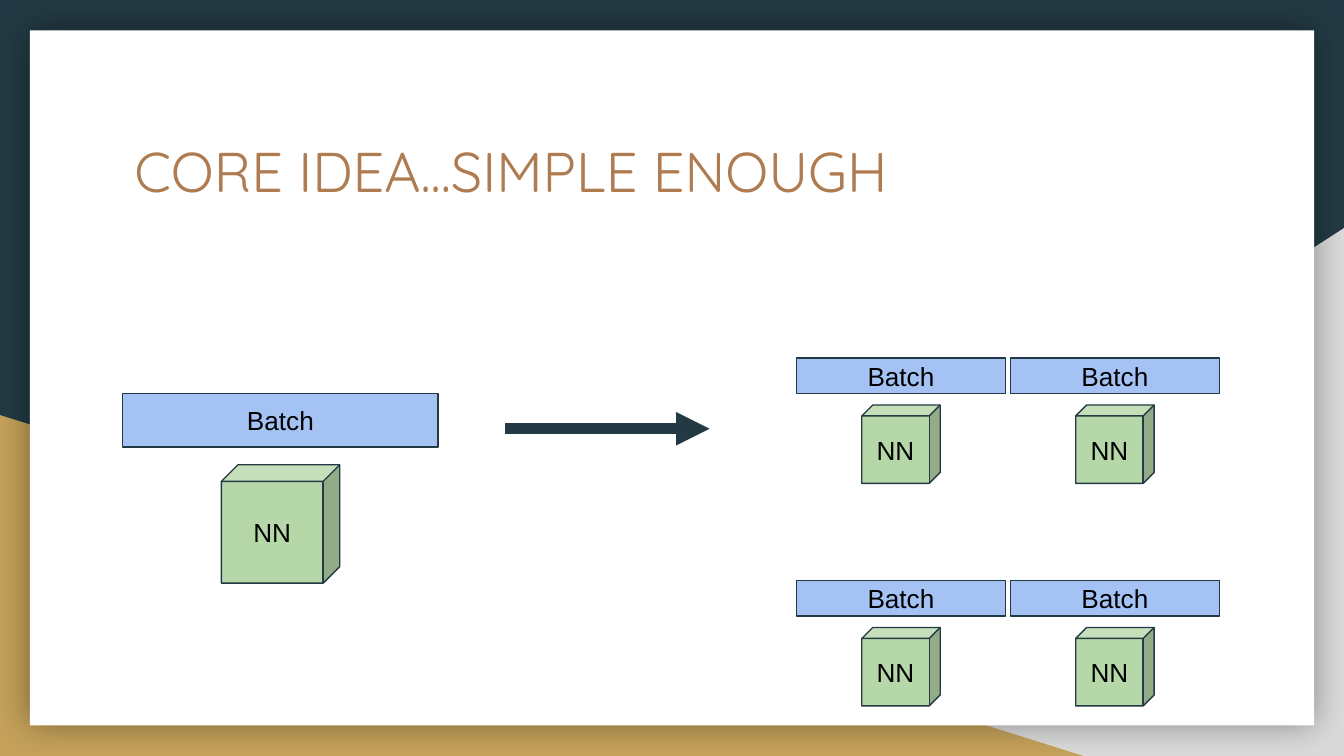
from lxml.etree import SubElement
from pptx import Presentation
from pptx.dml.color import RGBColor
from pptx.enum.shapes import MSO_CONNECTOR, MSO_SHAPE
from pptx.enum.text import MSO_ANCHOR, PP_ALIGN
from pptx.oxml.ns import qn
from pptx.util import Pt

# Content
TITLE = "CORE IDEA...SIMPLE ENOUGH"
BATCH, NET = "Batch", "NN"
HEX = {"navy": "233A44", "gray": "D9D9D9", "gold": "C4A15A", "white": "FFFFFF",
       "brown": "AF7B51", "blue": "A4C2F4", "green": "B6D7A8", "black": "000000"}

# Layout: left, top, width, height of the backdrop parts
BACK = [
    (MSO_SHAPE.RIGHT_TRIANGLE, "gray", (282.2, 122.2, 437.8, 282.8)),
    (MSO_SHAPE.RIGHT_TRIANGLE, "gold", (0, 222.4, 580.4, 182.6)),
    (MSO_SHAPE.RECTANGLE, "white", (16, 16.2, 688, 372.4)),
]
# Batch width, batch height, cube side, gap between them
BIG = (169, 28.8, 63.4, 9.4)
SMALL = (112, 19, 42, 6.2)
START = (65.8, 210.8)
GRID = (426.7, 191.8)
STEP = (114.6, 119.2)
ARROW = (270.6, 229.7, 380.2, 229.7)
FONT = {"name": "Arial", "size": Pt(14)}
HEAD = {"name": "Quicksand", "size": Pt(30), "bold": False}
FRAME = {"word_wrap": True, "margin_left": Pt(7.2), "margin_right": Pt(7.2),
         "margin_top": Pt(7.2), "margin_bottom": Pt(7.2)}


def color(name):
    return RGBColor.from_string(HEX[name])


def apply(item, values):
    for key, value in values.items():
        setattr(item, key, value)


def write(shape, text, font, ink, anchor, align):
    frame = shape.text_frame
    frame.text = text
    apply(frame, FRAME | {"vertical_anchor": anchor})
    para = frame.paragraphs[0]
    para.alignment = align
    apply(para.runs[0].font, font)
    para.runs[0].font.color.rgb = color(ink)


def draw(shapes, kind, fill, box):
    shape = shapes.add_shape(kind, *map(Pt, box))
    shape.shadow.inherit = False
    shape.fill.solid()
    shape.fill.fore_color.rgb = color(fill)
    shape.line.fill.background()
    return shape


def label(shape, text):
    shape.line.color.rgb = color("navy")
    shape.line.width = Pt(0.75)
    write(shape, text, FONT, "black", MSO_ANCHOR.MIDDLE, PP_ALIGN.CENTER)


def model(shapes, left, top, size):
    """A batch bar with a network cube centred below it."""
    width, height, side, gap = size
    bar = draw(shapes, MSO_SHAPE.RECTANGLE, "blue", (left, top, width, height))
    label(bar, BATCH)
    cube = draw(shapes, MSO_SHAPE.CUBE, "green",
                (left + (width - side) / 2, top + height + gap, side, side))
    cube.adjustments[0] = 0.14
    label(cube, NET)


deck = Presentation()
deck.slide_width, deck.slide_height = Pt(720), Pt(405)
slide = deck.slides.add_slide(deck.slide_layouts[5])
shapes = slide.shapes

# Background
slide.background.fill.solid()
slide.background.fill.fore_color.rgb = color("navy")
right, _, card = [draw(shapes, *part) for part in BACK]
right._element.spPr.find(qn("a:xfrm")).set("flipH", "1")

# Soft shadow around the card
effect = card._element.spPr.find(qn("a:effectLst"))
glow = SubElement(effect, qn("a:outerShdw"), blurRad=str(Pt(18)), dist="0",
                  algn="ctr", rotWithShape="0")
tint = SubElement(glow, qn("a:srgbClr"), val=HEX["black"])
SubElement(tint, qn("a:alpha"), val="40000")

# Title, brought in front of the card
title = shapes.title
apply(title, {"left": Pt(64.8), "top": Pt(66.2), "width": Pt(591), "height": Pt(75)})
write(title, TITLE, HEAD, "brown", MSO_ANCHOR.TOP, PP_ALIGN.LEFT)
card._element.addnext(title._element)

# Single model
model(shapes, *START, BIG)

# Arrow
arrow = shapes.add_connector(MSO_CONNECTOR.STRAIGHT, *map(Pt, ARROW))
arrow.line.color.rgb = color("navy")
arrow.line.width = Pt(6)
SubElement(arrow.line._get_or_add_ln(), qn("a:tailEnd"), type="triangle")
SubElement(arrow._element.spPr, qn("a:effectLst"))

# Replicated models, two by two
for row in range(2):
    for col in range(2):
        group = shapes.add_group_shape()
        model(group.shapes, GRID[0] + col * STEP[0], GRID[1] + row * STEP[1], SMALL)

deck.save("out.pptx")
